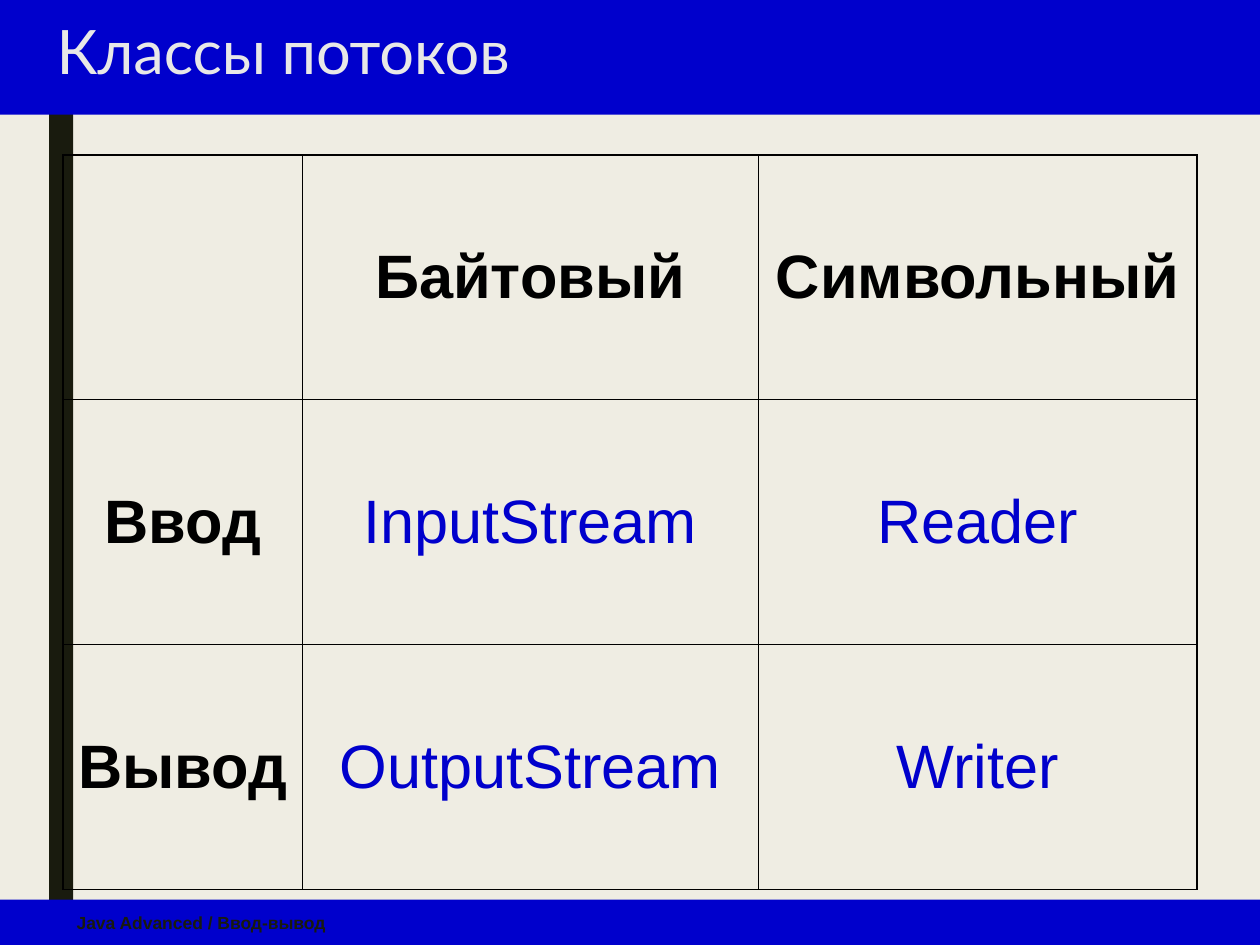
from dataclasses import dataclass

from lxml.etree import SubElement
from pptx import Presentation
from pptx.dml.color import RGBColor
from pptx.enum.shapes import MSO_SHAPE
from pptx.enum.text import MSO_ANCHOR, PP_ALIGN
from pptx.oxml.ns import qn
from pptx.util import Inches, Pt

BLUE, DARK, BLACK, CREAM = "0000CC", "191B0E", "000000", "EFEDE3"
OUTER, INNER = Pt(1.08), Pt(0.45)


@dataclass
class Box:
    left: float
    top: float
    width: float
    height: float

    def emu(self) -> tuple:
        return tuple(Inches(v) for v in (self.left, self.top, self.width, self.height))


@dataclass
class Style:
    size: float
    color: str
    font: str = "Arial"
    bold: bool = False


BANDS = [
    (Box(0.39, 0, 0.19, 7.5), DARK),
    (Box(0, 0, 10, 0.91), BLUE),
    (Box(0, 7.14, 10, 0.36), BLUE),
]
ROWS = [
    ["", "Байтовый", "Символьный"],
    ["Ввод", "InputStream", "Reader"],
    ["Вывод", "OutputStream", "Writer"],
]
COL_WIDTHS = [1.9, 3.62, 3.48]
HEADING = Style(35, BLACK, bold=True)
CLASS_NAME = Style(35, BLUE)


def rgb(color: str) -> RGBColor:
    return RGBColor.from_string(color)


def add_run(p, text: str, style: Style) -> None:
    r = p.add_run()
    r.text = text
    r.font.name = style.font
    r.font.size = Pt(style.size)
    r.font.bold = style.bold
    r.font.color.rgb = rgb(style.color)


def add_band(s, box: Box, color: str) -> None:
    sp = s.shapes.add_shape(MSO_SHAPE.RECTANGLE, *box.emu())
    sp.shadow.inherit = False
    sp.fill.solid()
    sp.fill.fore_color.rgb = rgb(color)
    sp.line.fill.background()


def add_text(s, box: Box, text: str, style: Style, anchor: MSO_ANCHOR):
    tf = s.shapes.add_textbox(*box.emu()).text_frame
    tf.word_wrap = True
    tf.vertical_anchor = anchor
    p = tf.paragraphs[0]
    add_run(p, text, style)
    return p


def set_border(cell, side: str, width: int) -> None:
    ln = SubElement(cell._tc.get_or_add_tcPr(), qn(f"a:ln{side}"), w=str(int(width)))
    SubElement(SubElement(ln, qn("a:solidFill")), qn("a:srgbClr"), val=BLACK)


def add_class_table(s, box: Box) -> None:
    n_rows, n_cols = len(ROWS), len(COL_WIDTHS)
    table = s.shapes.add_table(n_rows, n_cols, *box.emu()).table
    table.first_row = table.horz_banding = False
    for col, width in zip(table.columns, COL_WIDTHS):
        col.width = Inches(width)
    for i, texts in enumerate(ROWS):
        for j, text in enumerate(texts):
            cell = table.cell(i, j)
            # Thick outer frame, thin inner grid
            edges = {"L": j == 0, "R": j == n_cols - 1,
                     "T": i == 0, "B": i == n_rows - 1}
            for side, is_outer in edges.items():
                set_border(cell, side, OUTER if is_outer else INNER)
            cell.fill.background()
            cell.vertical_anchor = MSO_ANCHOR.MIDDLE
            if text:
                p = cell.text_frame.paragraphs[0]
                p.alignment = PP_ALIGN.CENTER
                add_run(p, text, CLASS_NAME if i and j else HEADING)


def main() -> None:
    prs = Presentation()
    prs.slide_width, prs.slide_height = Inches(10), Inches(7.5)
    s = prs.slides.add_slide(prs.slide_layouts[6])

    # Background and bands
    s.background.fill.solid()
    s.background.fill.fore_color.rgb = rgb(CREAM)
    for box, color in BANDS:
        add_band(s, box, color)

    # Title
    title = add_text(s, Box(0.35, 0.13, 9.65, 0.7), "Классы потоков",
                     Style(35, "E8E8E7", "Lato"), MSO_ANCHOR.TOP)
    title.line_spacing = 0.89

    # Stream classes
    add_class_table(s, Box(0.5, 1.23, 9, 5.83))

    # Footer
    add_text(s, Box(0.51, 7.14, 9.06, 0.36), "Java Advanced / Ввод-вывод",
             Style(10, DARK, bold=True), MSO_ANCHOR.MIDDLE)

    prs.save("out.pptx")


if __name__ == "__main__":
    main()
